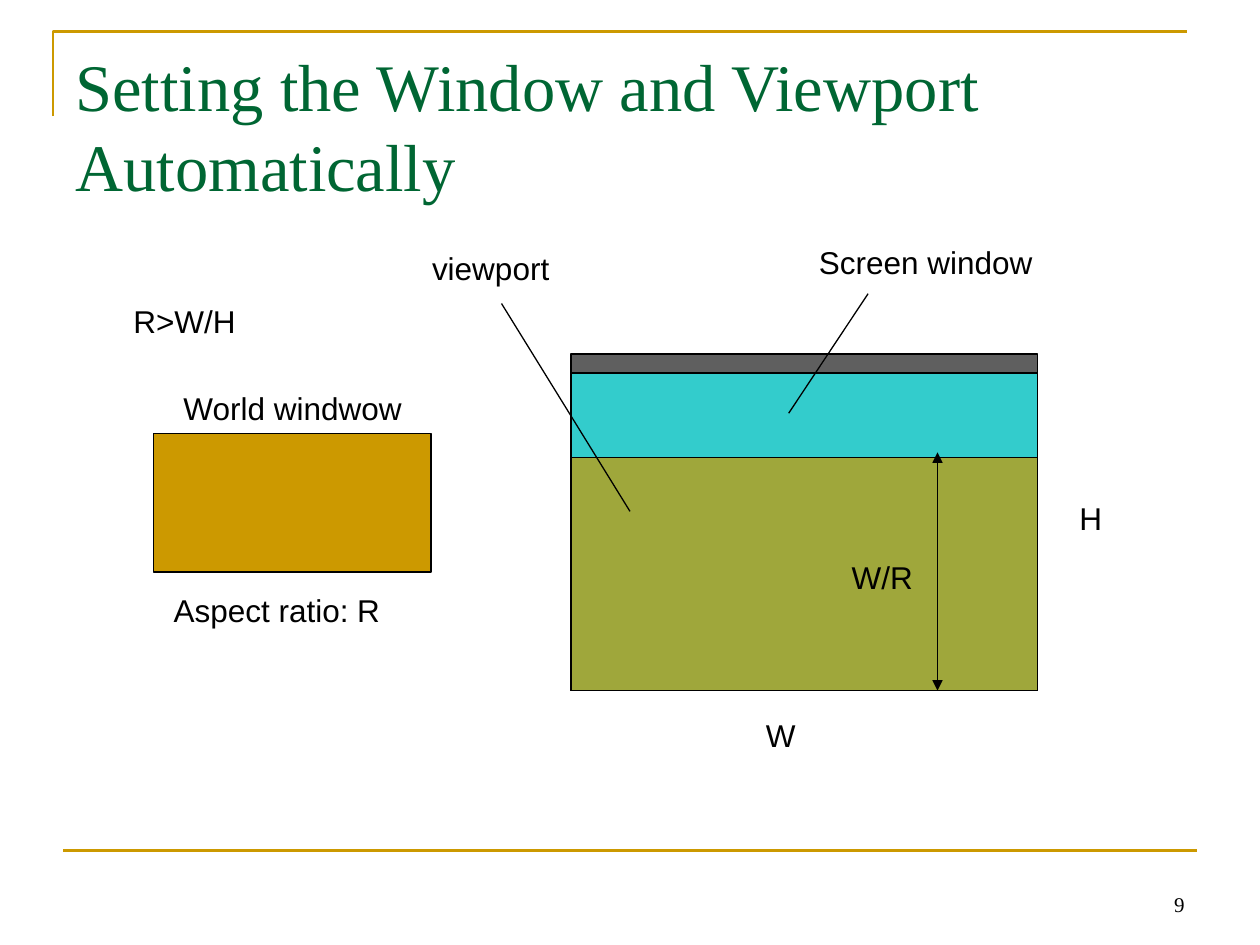
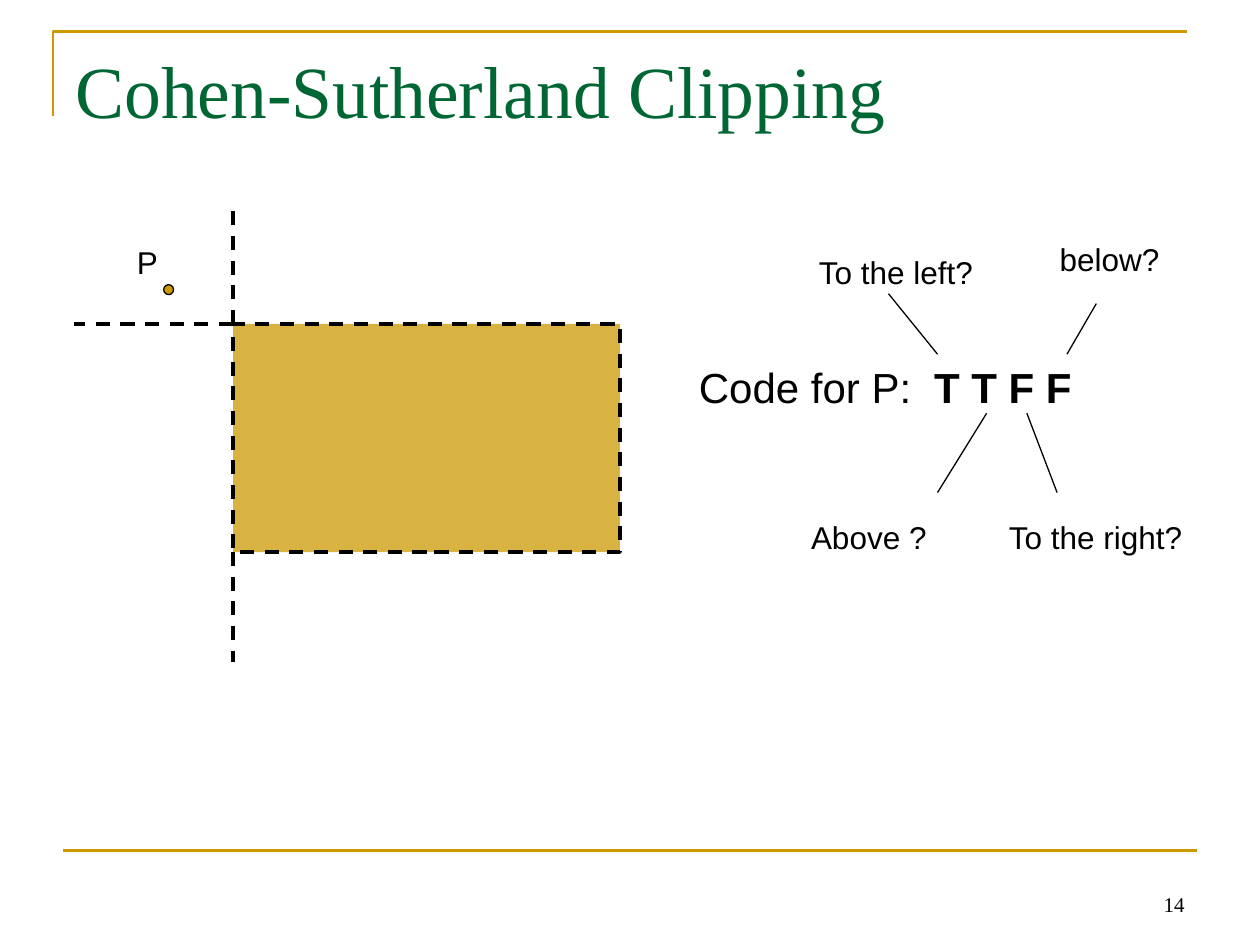
from dataclasses import dataclass

from lxml import etree
from pptx import Presentation
from pptx.dml.color import RGBColor
from pptx.enum.dml import MSO_LINE
from pptx.enum.shapes import MSO_CONNECTOR, MSO_SHAPE
from pptx.enum.text import MSO_ANCHOR, MSO_AUTO_SIZE, PP_ALIGN
from pptx.oxml.ns import qn
from pptx.util import Cm, Pt

RECT = MSO_SHAPE.RECTANGLE
OVAL = MSO_SHAPE.OVAL
STRAIGHT = MSO_CONNECTOR.STRAIGHT
DASH = MSO_LINE.DASH
BOTTOM = MSO_ANCHOR.BOTTOM
RIGHT = PP_ALIGN.RIGHT
GROW = MSO_AUTO_SIZE.SHAPE_TO_FIT_TEXT


class Theme:
    gold = RGBColor.from_string("CC9900")
    green = RGBColor.from_string("006633")
    cyan = RGBColor.from_string("33CCCC")
    gray = RGBColor.from_string("5F5F5F")
    black = RGBColor.from_string("000000")
    serif = "Times New Roman"
    sans = "Arial"
    label = 18
    code = 24
    number = 12
    thin = 0.75
    rule = 1.5
    thick = 2
    slack = 0.1  # cm of spare width that keeps a label on one line


def add(parent, tag, **attrs):
    return etree.SubElement(parent, qn(tag), attrs)


def style(font, name, size, color):
    font.name = name
    font.size = Pt(size)
    font.color.rgb = color


def outline(shape, color, width, dash=None):
    shape.line.color.rgb = color
    shape.line.width = Pt(width)
    if dash:
        shape.line.dash_style = dash


@dataclass
class Pane:
    """A region of a slide, in cm; its parts are placed from its top left corner."""
    slide: object
    left: float
    top: float
    width: float
    height: float

    def spot(self, x, y):
        return Cm(self.left + x), Cm(self.top + y)

    def shape(self, kind, x, y, width, height, fill, alpha=None,
              weight=Theme.thin, dash=None):
        shape = self.slide.shapes.add_shape(
            kind, *self.spot(x, y), Cm(width), Cm(height))
        shape.shadow.inherit = False
        shape.fill.solid()
        shape.fill.fore_color.rgb = fill
        if alpha:
            color = shape.element.spPr.find(qn("a:solidFill"))[0]
            add(color, "a:alpha", val=str(alpha * 1000))
        outline(shape, Theme.black, weight, dash)

    def line(self, x1, y1, x2, y2, color=Theme.black, weight=Theme.thin,
             dash=None, arrows=False):
        line = self.slide.shapes.add_connector(
            STRAIGHT, *self.spot(x1, y1), *self.spot(x2, y2))
        outline(line, color, weight, dash)
        props = line.element.spPr
        if arrows:
            for end in ("a:headEnd", "a:tailEnd"):
                add(props.find(qn("a:ln")), end, type="triangle")
        add(props, "a:effectLst")

    def text(self, text, name, size, color):
        """Fill the whole pane with wrapped text."""
        box = self.slide.shapes.add_textbox(
            *self.spot(0, 0), Cm(self.width), Cm(self.height))
        frame = box.text_frame
        frame.word_wrap = True
        frame.text = text
        style(frame.paragraphs[0].runs[0].font, name, size, color)
        return frame

    def label(self, text, x, y, width, height=1.02, size=Theme.label):
        box = self.slide.shapes.add_textbox(
            *self.spot(x, y), Cm(width + Theme.slack), Cm(height))
        frame = box.text_frame
        frame.word_wrap = False
        frame.auto_size = GROW
        frame.text = text
        style(frame.paragraphs[0].runs[0].font, Theme.sans, size, Theme.black)
        return frame.paragraphs[0]


def draw_frame(pane):
    """Gold corner at the top left and rule at the foot."""
    left, top = pane.spot(-0.2, 0)
    pen = pane.slide.shapes.build_freeform(left, top + Cm(1.7))
    pen.add_line_segments(
        [(left, top), (left + Cm(pane.width), top)], close=False)
    corner = pen.convert_to_shape()
    corner.shadow.inherit = False
    corner.fill.background()
    outline(corner, Theme.gold, Theme.rule)
    pane.line(0, pane.height, pane.width, pane.height, Theme.gold, Theme.rule)


def new_slide(deck, title, size, number):
    slide = deck.slides.add_slide(deck.slide_layouts[6])
    draw_frame(Pane(slide, 1.27, 0.64, 22.86, 16.51))
    Pane(slide, 1.27, 0.78, 22.86, 3.18).text(
        title, Theme.serif, size, Theme.green)
    foot = Pane(slide, 18.21, 17.34, 5.92, 1.27).text(
        str(number), Theme.serif, Theme.number, Theme.black)
    foot.vertical_anchor = BOTTOM
    foot.paragraphs[0].alignment = RIGHT
    return slide


def draw_world(pane):
    pane.label("R>W/H", -0.66, -2.77, 2.57)
    pane.shape(RECT, 0, 0, pane.width, pane.height, Theme.gold)
    pane.label("World windwow", 0.35, -1.02, 4.9)
    pane.label("Aspect ratio: R", 0.15, pane.height + 0.26, 4.67)


def draw_screen(pane, ratio):
    """Screen window whose viewport keeps the world's aspect ratio."""
    bar = 0.38
    wide, high = pane.width, pane.height
    port = wide / ratio
    pane.shape(RECT, 0, bar, wide, high - bar, Theme.cyan)
    pane.shape(RECT, 0, high - port, wide, port, Theme.gold, alpha=71)
    pane.shape(RECT, 0, 0, wide, bar, Theme.gray)
    pane.line(1.19, 3.17, -1.4, -1.02)
    pane.line(4.39, 1.19, 5.99, -1.22)
    pane.line(7.39, 1.98, 7.39, high, arrows=True)
    for text, x, y, width in (
            ("W", 3.68, 7.16, 1.09),
            ("H", 10, 2.79, 0.97),
            ("viewport", -3.05, -2.24, 2.87),
            ("Screen window", 4.75, -2.36, 4.8),
            ("W/R", 5.41, 3.99, 1.73)):
        pane.label(text, x, y, width)


def draw_clip(pane):
    """Clip window, its extended edges and the point P."""
    edge = {"weight": Theme.thick, "dash": DASH}
    pane.shape(RECT, 0, 0, pane.width, pane.height, Theme.gold, alpha=74, **edge)
    pane.line(0, 0, 0, -2.41, **edge)
    pane.line(0, pane.height, 0, pane.height + 2.21, **edge)
    pane.line(0, 0, -3.2, 0, **edge)
    pane.label("P", -2.19, -1.75, 0.91)
    pane.shape(OVAL, -1.4, -0.79, 0.2, 0.2, Theme.gold)


def draw_code(pane):
    """Outcode of P with a question tied to each of its letters."""
    para = pane.label("Code for P:", 0, 0, pane.width, pane.height, Theme.code)
    tabs = add(para._p.get_or_add_pPr(), "a:tabLst")
    add(tabs, "a:tab", pos=str(Cm(4.74)), algn="l")
    code = para.add_run()
    code.text = "\tT T F F"
    style(code.font, Theme.sans, Theme.code, Theme.black)
    code.font.bold = True
    for text, x, y, width, ends in (
            ("To the left?", 2.42, -2.18, 3.68, (5.06, -0.02, 4.07, -1.24)),
            ("Above ?", 2.26, 3.15, 2.82, (6.05, 1.17, 5.06, 2.77)),
            ("To the right?", 6.25, 3.15, 4.06, (6.86, 1.17, 7.47, 2.77)),
            ("below?", 7.27, -2.44, 2.51, (7.67, -0.02, 8.26, -1.04))):
        pane.line(*ends)
        pane.label(text, x, y, width)


def main():
    deck = Presentation()
    deck.slide_width, deck.slide_height = Cm(25.4), Cm(19.05)

    slide = new_slide(
        deck, "Setting the Window and Viewport Automatically", 38, 9)
    draw_world(Pane(slide, 3.1, 8.74, 5.59, 2.79))
    draw_screen(Pane(slide, 11.51, 7.14, 9.4, 6.78), ratio=2)

    slide = new_slide(deck, "Cohen-Sutherland Clipping", 42, 14)
    draw_clip(Pane(slide, 4.7, 6.53, 7.8, 4.6))
    draw_code(Pane(slide, 13.84, 7.16, 8.03, 1.27))

    deck.save("out.pptx")


if __name__ == "__main__":
    main()
